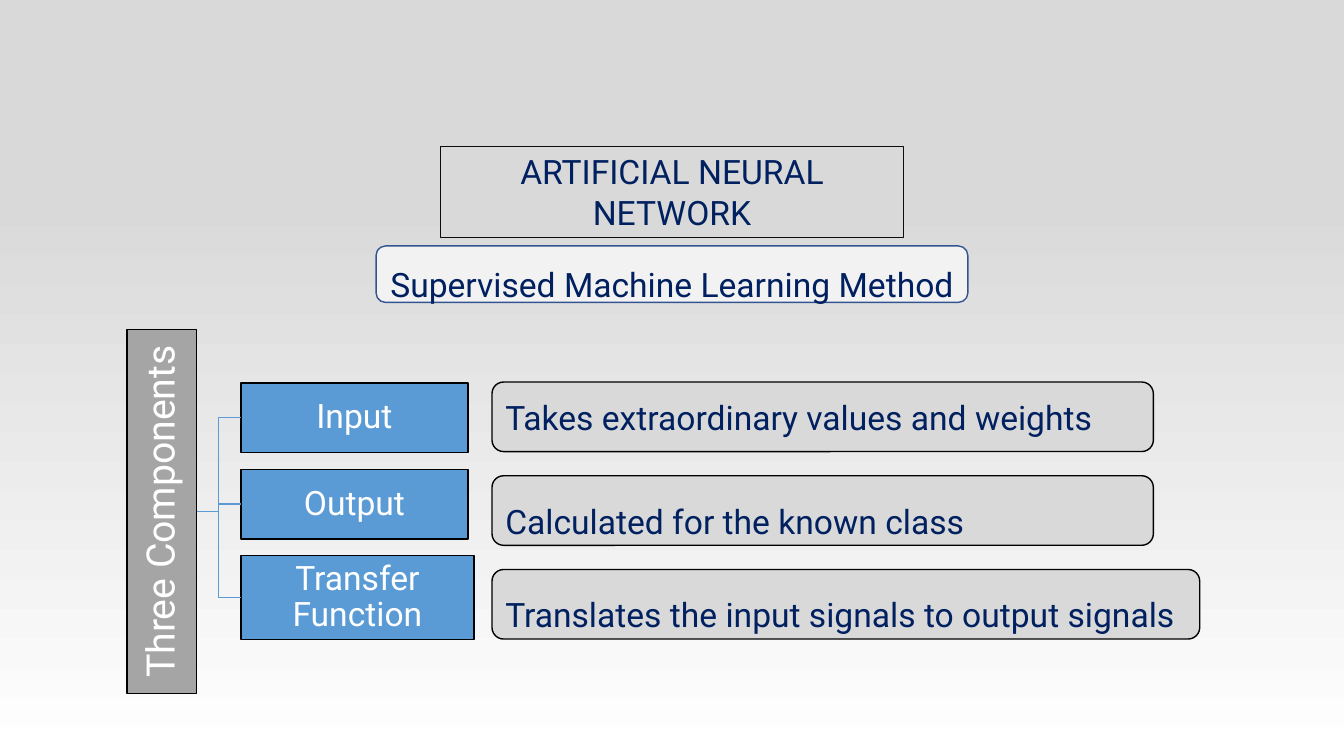
import pptx
import pptx.dml.color
import pptx.enum.shapes
import pptx.enum.text
import pptx.util

SHAPE = pptx.enum.shapes.MSO_SHAPE
ANCHOR = pptx.enum.text.MSO_ANCHOR
ALIGN = pptx.enum.text.PP_ALIGN

THEME = {
    "font": "Roboto",
    "body_size": pptx.util.Pt(24),
    "trunk_size": pptx.util.Pt(28),
    "hairline": pptx.util.Pt(0.75),
    "line": pptx.util.Pt(1),
    "navy": pptx.dml.color.RGBColor.from_string("002060"),
    "white": pptx.dml.color.RGBColor.from_string("FFFFFF"),
    "black": pptx.dml.color.RGBColor.from_string("000000"),
    "ink": pptx.dml.color.RGBColor.from_string("0D0D0D"),
    "silver": pptx.dml.color.RGBColor.from_string("D9D9D9"),
    "pale": pptx.dml.color.RGBColor.from_string("F2F2F2"),
    "gray": pptx.dml.color.RGBColor.from_string("A5A5A5"),
    "blue": pptx.dml.color.RGBColor.from_string("5B9BD5"),
    "royal": pptx.dml.color.RGBColor.from_string("325491"),
}

presentation = pptx.Presentation()
presentation.slide_width = pptx.util.Inches(13.33)
presentation.slide_height = pptx.util.Inches(7.5)
slide = presentation.slides.add_slide(presentation.slide_layouts[6])


def across(share):
    """Length for a percentage of the slide's width."""
    return round(presentation.slide_width * share / 100)


def add_box(kind, left, top, width, height, text, fill, line="black", line_width="line",
            color="navy", size="body_size", align=ALIGN.CENTER, spacing=None,
            anchor=ANCHOR.MIDDLE, inset=None):
    """Add a labelled box placed in percentages of the slide's size."""
    down = presentation.slide_height / 100
    shape = slide.shapes.add_shape(kind, across(left), round(top * down),
                                   across(width), round(height * down))
    shape.shadow.inherit = False
    shape.fill.solid()
    shape.fill.fore_color.rgb = THEME[fill]
    shape.line.color.rgb = THEME[line]
    shape.line.width = THEME[line_width]
    frame = shape.text_frame
    frame.word_wrap = True
    frame.vertical_anchor = anchor
    if inset is not None:
        for side in ("left", "top", "right", "bottom"):
            setattr(frame, f"margin_{side}", inset)
    paragraph = frame.paragraphs[0]
    paragraph.text = text
    for name, value in {"alignment": align, "line_spacing": spacing}.items():
        setattr(paragraph, name, value)
    for name, value in {"name": THEME["font"], "size": THEME[size]}.items():
        setattr(paragraph.runs[0].font, name, value)
    paragraph.runs[0].font.color.rgb = THEME[color]
    return shape


# Background: white at the bottom, silver from three quarters up
background = slide.background.fill
background.gradient()
background.gradient_angle = 90
for stop, position, color in zip(background.gradient_stops, (0, 0.74), ("white", "silver")):
    stop.position = position
    stop.color.rgb = THEME[color]

# Centred headings
title_width, method_width = 34.5, 44.03
title = add_box(SHAPE.RECTANGLE, (100 - title_width) / 2, 19.33, title_width, 12.13,
                "ARTIFICIAL NEURAL NETWORK", "silver", line="ink", line_width="hairline",
                anchor=ANCHOR.TOP)
title.text_frame.auto_size = pptx.enum.text.MSO_AUTO_SIZE.SHAPE_TO_FIT_TEXT
add_box(SHAPE.ROUNDED_RECTANGLE, (100 - method_width) / 2, 32.53, method_width, 7.47,
        "Supervised Machine Learning Method", "pale", line="royal", spacing=1.5)

# Component tree
row_height = 9.2
tree = {"fill": "blue", "color": "white", "spacing": 0.9, "inset": pptx.util.Inches(0.02)}
trunk = add_box(SHAPE.RECTANGLE, -1.5, 63.07, 27.08, row_height, "Three Components",
                **{**tree, "fill": "gray", "size": "trunk_size"})
trunk.rotation = 270
trunk_right = trunk.left + (trunk.width + trunk.height) // 2
trunk_middle = trunk.top + trunk.height // 2

component_left, component_top, component_step = 17.93, 50.67, 11.42
components = [("Input", 16.88, row_height), ("Output", 16.88, row_height),
              ("Transfer Function", 17.33, 11.07)]
for row, (label, width, height) in enumerate(components):
    component = add_box(SHAPE.RECTANGLE, component_left, component_top + row * component_step,
                        width, height, label, **tree)
    elbow = (trunk_right + component.left) // 2
    component_middle = component.top + component.height // 2
    builder = slide.shapes.build_freeform(trunk_right, trunk_middle)
    builder.add_line_segments([(elbow, trunk_middle), (elbow, component_middle),
                               (component.left, component_middle)], close=False)
    branch = builder.convert_to_shape()
    branch.shadow.inherit = False
    branch.fill.background()
    branch.line.color.rgb = THEME["blue"]
    branch.line.width = THEME["line"]

# What each component does
description_left, description_top, description_step = 36.61, 50.53, 12.4
descriptions = [
    ("Takes extraordinary values and weights", 49.21, ALIGN.LEFT, None),
    ("Calculated for the known class", 49.21, ALIGN.LEFT, 1.5),
    ("Translates the input signals to output signals", 52.66, ALIGN.JUSTIFY, 1.5),
]
for row, (text, width, align, spacing) in enumerate(descriptions):
    add_box(SHAPE.ROUNDED_RECTANGLE, description_left, description_top + row * description_step,
            width, row_height, text, "silver", align=align, spacing=spacing)

presentation.save("out.pptx")
